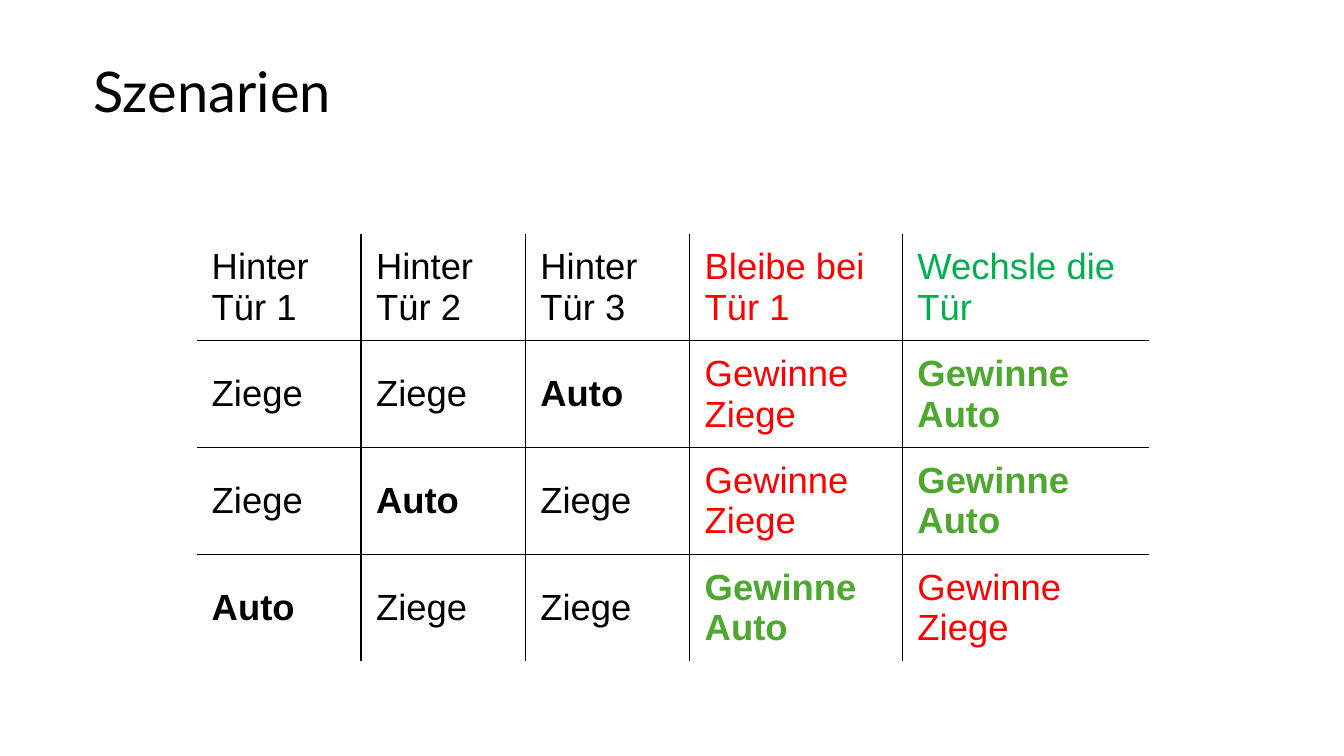
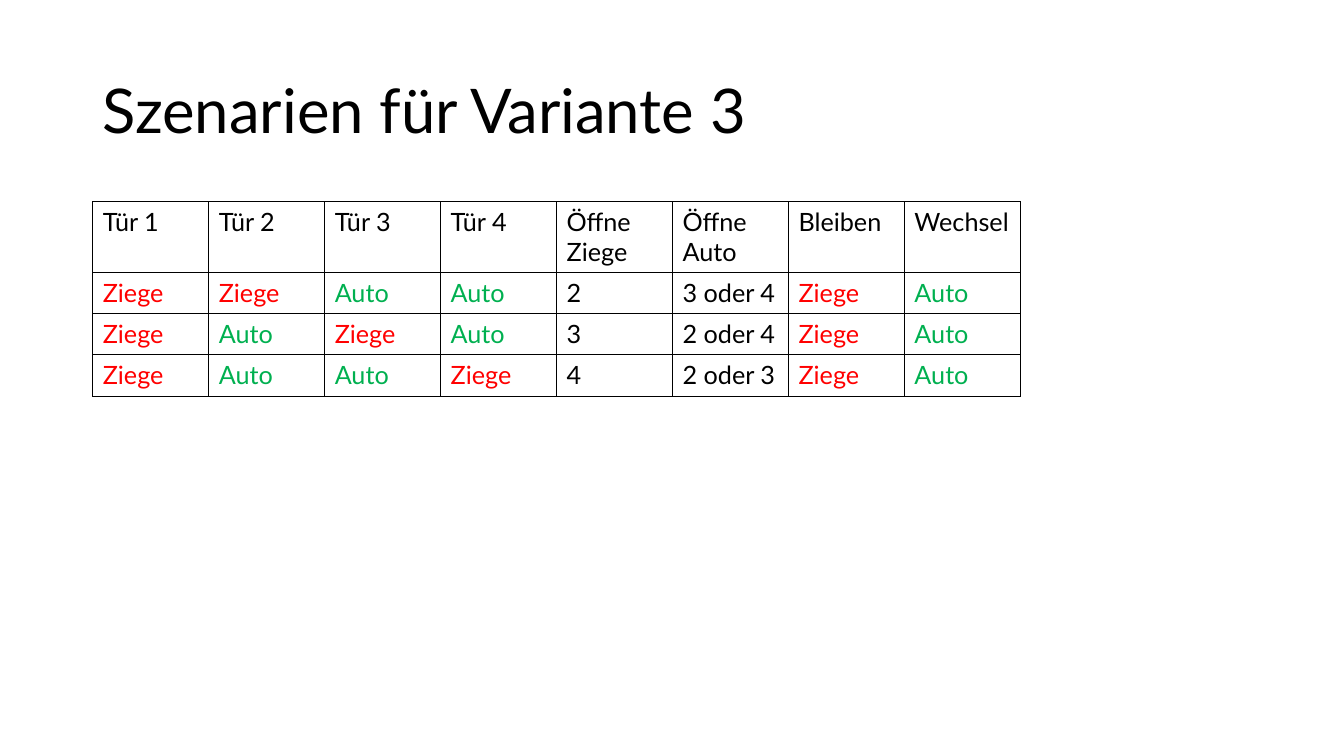
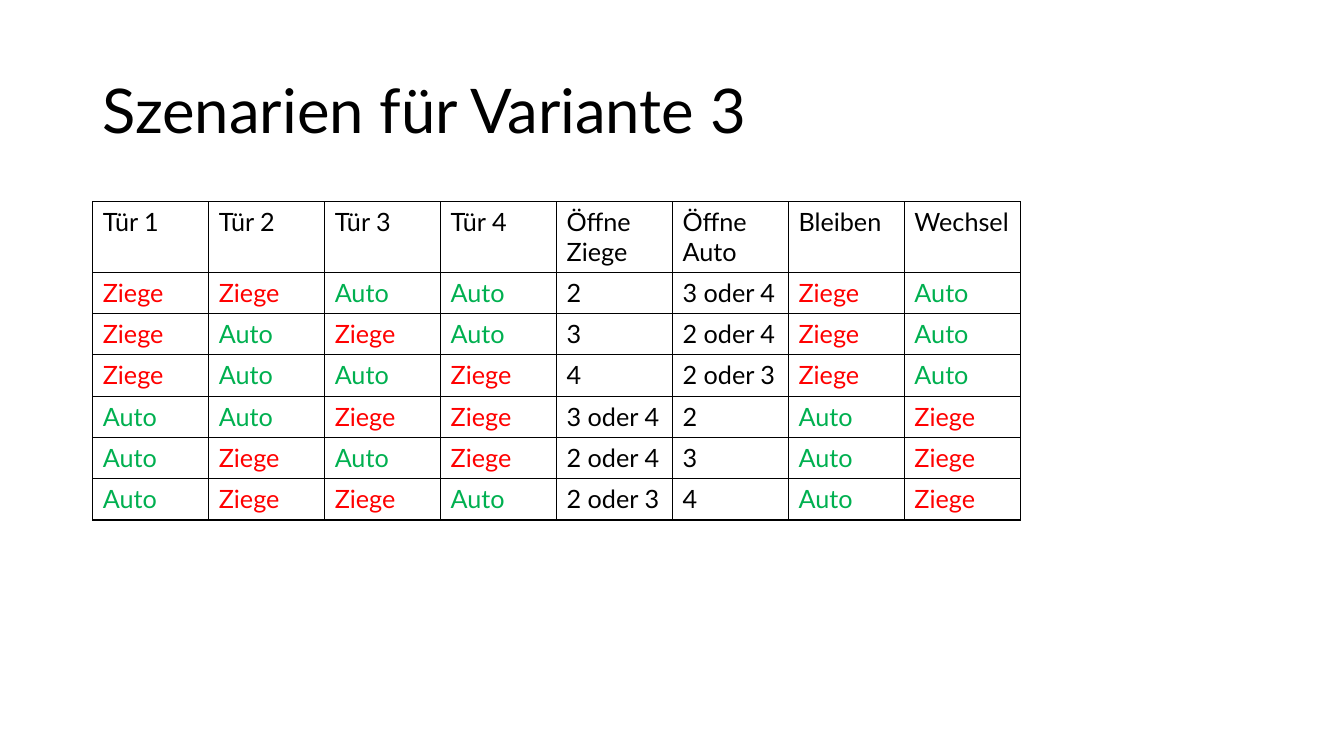
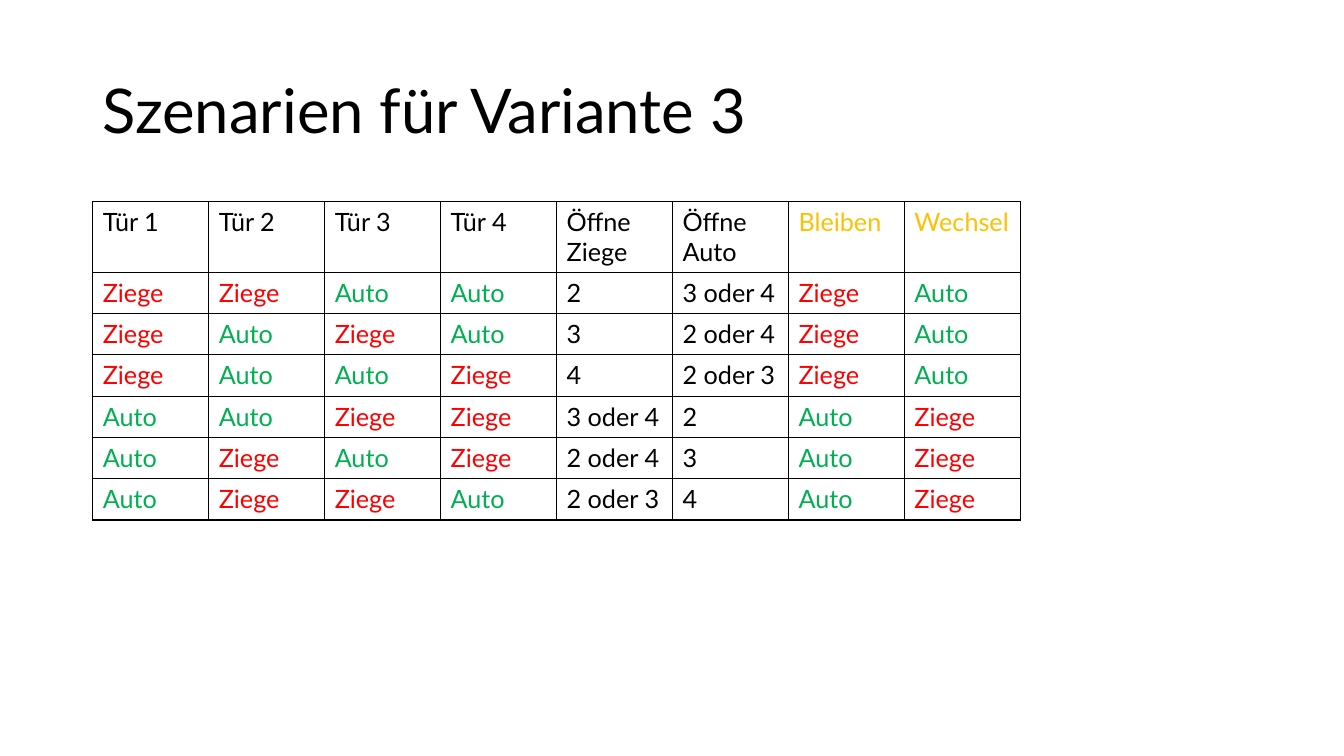
from dataclasses import dataclass

from lxml import etree
from pptx import Presentation
from pptx.dml.color import RGBColor
from pptx.enum.shapes import MSO_SHAPE
from pptx.enum.text import MSO_ANCHOR
from pptx.oxml.ns import qn
from pptx.util import Inches, Pt

RECTANGLE = MSO_SHAPE.RECTANGLE
TOP = MSO_ANCHOR.TOP
MIDDLE = MSO_ANCHOR.MIDDLE
BLANK_LAYOUT = 6
GOAT, CAR = "Ziege", "Auto"


@dataclass(frozen=True)
class Theme:
    black: str = "000000"
    white: str = "FFFFFF"
    red: str = "FF0000"
    green: str = "00B050"
    win_green: str = "4EA72E"
    gold: str = "FFC000"
    title_font: str = "Lato"
    body_font: str = "Arial"
    overview_title: int = 40
    variant_title: int = 44
    overview_text: int = 26
    variant_text: int = 18
    border: int = 1


THEME = Theme()
PRIZE_COLORS = {GOAT: THEME.red, CAR: THEME.green}
OVERVIEW_DOORS = [(GOAT, GOAT, CAR), (GOAT, CAR, GOAT), (CAR, GOAT, GOAT)]
VARIANT_DOORS = [
    (GOAT, GOAT, CAR, CAR),
    (GOAT, CAR, GOAT, CAR),
    (GOAT, CAR, CAR, GOAT),
    (CAR, CAR, GOAT, GOAT),
    (CAR, GOAT, CAR, GOAT),
    (CAR, GOAT, GOAT, CAR),
]
OVERVIEW_GRID = {
    "place": (1.95, 2.32),
    "widths": [1.63, 1.63, 1.63, 2.11, 2.45],
    "heights": [1.06] * 4,
    "font": {"name": THEME.body_font, "size": Pt(THEME.overview_text)},
    "cell": {
        "vertical_anchor": MIDDLE,
        "margin_left": Inches(0.15),
        "margin_right": Inches(0.15),
        "margin_top": Inches(0.07),
        "margin_bottom": Inches(0.07),
    },
    "framed": False,
}
VARIANT_GRID = {
    "place": (0.92, 2),
    "widths": [1.15] * 8,
    "font": {"name": THEME.title_font, "size": Pt(THEME.variant_text)},
    "cell": {"vertical_anchor": TOP},
    "framed": True,
}


def apply(target, values):
    for name, value in values.items():
        setattr(target, name, value)


def write(frame, text, font, color, bold=False):
    paragraph = frame.paragraphs[0]
    run = paragraph.add_run()
    run.text = text
    apply(run.font, {**font, "bold": bold})
    run.font.color.rgb = RGBColor.from_string(color)
    return paragraph


def add_title(slide, text, place, size):
    frame = slide.shapes.add_textbox(*map(Inches, place)).text_frame
    apply(frame, {"word_wrap": True, "vertical_anchor": MIDDLE})
    font = {"name": THEME.title_font, "size": Pt(size)}
    write(frame, text, font, THEME.black).line_spacing = 0.9


def add_band(slide, place):
    band = slide.shapes.add_shape(RECTANGLE, *map(Inches, place))
    band.shadow.inherit = False
    band.fill.solid()
    band.fill.fore_color.rgb = RGBColor.from_string(THEME.white)
    band.line.fill.background()


def set_borders(cell, edges):
    properties = cell._tc.get_or_add_tcPr()
    for edge, visible in edges.items():
        line = etree.SubElement(properties, qn(f"a:{edge}"), w=str(Pt(THEME.border)))
        if visible:
            fill = etree.SubElement(line, qn("a:solidFill"))
            etree.SubElement(fill, qn("a:srgbClr"), val=THEME.black)
        else:
            etree.SubElement(line, qn("a:noFill"))


def add_grid(slide, rows, place, widths, heights, font, cell, framed):
    extent = (*place, sum(widths), sum(heights))
    table = slide.shapes.add_table(
        len(rows), len(widths), *map(Inches, extent)
    ).table
    apply(table, {"first_row": False, "horz_banding": False})
    for column, width in zip(table.columns, widths):
        column.width = Inches(width)
    for row, height in zip(table.rows, heights):
        row.height = Inches(height)
    for r, entries in enumerate(rows):
        for c, entry in enumerate(entries):
            box = table.cell(r, c)
            apply(box, cell)
            write(box.text_frame, entry[0], font, *entry[1:])
            set_borders(box, {
                "lnL": framed or c > 0,
                "lnR": framed or c < len(widths) - 1,
                "lnT": framed or r > 0,
                "lnB": framed or r < len(rows) - 1,
            })
            box.fill.background()


def other(prize):
    return CAR if prize == GOAT else GOAT


def overview_row(doors):
    outcomes = {
        GOAT: ("Gewinne Ziege", THEME.red),
        CAR: ("Gewinne Auto", THEME.win_green, True),
    }
    behind = [(prize, THEME.black, prize == CAR) for prize in doors]
    return behind + [outcomes[doors[0]], outcomes[other(doors[0])]]


def prize_entry(prize):
    return prize, PRIZE_COLORS[prize]


def variant_row(doors):
    def openable(prize):
        numbers = [str(n) for n, p in enumerate(doors[1:], 2) if p == prize]
        return " oder ".join(numbers), THEME.black

    return [
        *map(prize_entry, doors),
        openable(GOAT),
        openable(CAR),
        prize_entry(doors[0]),
        prize_entry(other(doors[0])),
    ]


def add_overview(slide):
    add_band(slide, (0, 0, 13.33, 1.86))
    add_title(slide, "Szenarien", (0.83, 0.3, 11.46, 1.27), THEME.overview_title)
    header = [(f"Hinter Tür {n}", THEME.black) for n in range(1, 4)]
    header += [("Bleibe bei Tür 1", THEME.red), ("Wechsle die Tür", THEME.green)]
    add_grid(slide, [header, *map(overview_row, OVERVIEW_DOORS)], **OVERVIEW_GRID)


def add_variant(slide, scenarios, choice_color):
    add_title(slide, "Szenarien für Variante 3", (0.92, 0.4, 11.5, 1.45),
              THEME.variant_title)
    labels = [f"Tür {n}" for n in range(1, 5)] + ["Öffne Ziege", "Öffne Auto"]
    header = [(label, THEME.black) for label in labels]
    header += [(label, choice_color) for label in ("Bleiben", "Wechsel")]
    heights = [0.69] + [0.41] * len(scenarios)
    add_grid(slide, [header, *map(variant_row, scenarios)], heights=heights,
             **VARIANT_GRID)


def main():
    deck = Presentation()
    apply(deck, {"slide_width": Inches(13.33), "slide_height": Inches(7.5)})
    layout = deck.slide_layouts[BLANK_LAYOUT]
    add_overview(deck.slides.add_slide(layout))
    for count, choice_color in ((3, THEME.black), (6, THEME.black), (6, THEME.gold)):
        add_variant(deck.slides.add_slide(layout), VARIANT_DOORS[:count], choice_color)
    deck.save("out.pptx")


if __name__ == "__main__":
    main()
